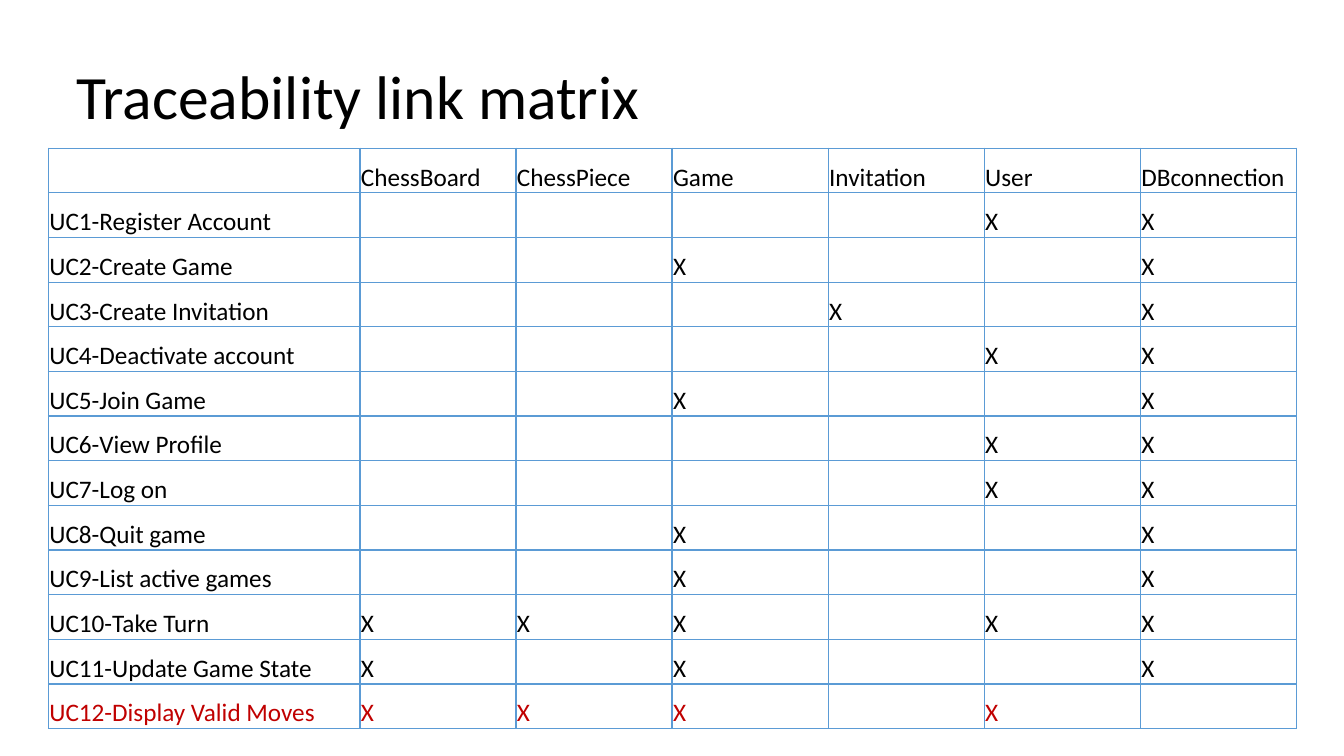
import pptx
import pptx.util
import pptx.dml.color
import pptx.enum.text
import pptx.oxml.ns
from lxml import etree
from pptx.util import Inches

FONT = "Calibri"
COLORS = {"text": "000000", "new": "C00000", "grid": "5B9BD5"}
CLASSES = ["ChessBoard", "ChessPiece", "Game", "Invitation", "User", "DBconnection"]
USE_CASES = [
    ("UC1-Register Account", "User DBconnection"),
    ("UC2-Create Game", "Game DBconnection"),
    ("UC3-Create Invitation", "Invitation DBconnection"),
    ("UC4-Deactivate account", "User DBconnection"),
    ("UC5-Join Game", "Game DBconnection"),
    ("UC6-View Profile", "User DBconnection"),
    ("UC7-Log on", "User DBconnection"),
    ("UC8-Quit game", "Game DBconnection"),
    ("UC9-List active games", "Game DBconnection"),
    ("UC10-Take Turn", "ChessBoard ChessPiece Game User DBconnection"),
    ("UC11-Update Game State", "ChessBoard Game DBconnection"),
    ("UC12-Display Valid Moves", "ChessBoard ChessPiece Game User"),
]


def add_run(p, text, size, color):
    r = p.add_run()
    r.text = text
    r.font.size = pptx.util.Pt(size)
    r.font.name = FONT
    r.font.color.rgb = pptx.dml.color.RGBColor.from_string(COLORS[color])


def add_title(s, text, left, top, width, height):
    tf = s.shapes.add_textbox(Inches(left), Inches(top), Inches(width), Inches(height)).text_frame
    tf.word_wrap = True
    tf.vertical_anchor = pptx.enum.text.MSO_ANCHOR.MIDDLE
    p = tf.paragraphs[0]
    p.line_spacing = 0.9
    add_run(p, text, 44, "text")


def set_borders(cell):
    tc_pr = cell._tc.get_or_add_tcPr()
    qn = pptx.oxml.ns.qn
    for side in ("lnL", "lnR", "lnT", "lnB"):
        ln = etree.SubElement(tc_pr, qn("a:" + side), w=str(pptx.util.Pt(1)))
        fill = etree.SubElement(ln, qn("a:solidFill"))
        etree.SubElement(fill, qn("a:srgbClr"), val=COLORS["grid"])


def fill_cell(cell, text, color):
    set_borders(cell)
    cell.fill.background()
    cell.margin_left = cell.margin_right = cell.margin_top = Inches(0.01)
    cell.margin_bottom = 0
    cell.vertical_anchor = pptx.enum.text.MSO_ANCHOR.BOTTOM
    if text:
        add_run(cell.text_frame.paragraphs[0], text, 18, color)


def add_matrix(s, left, top, width, height, label_width=3.09):
    """Mark with X each class that a use case touches."""
    rows = [[""] + CLASSES]
    for name, links in USE_CASES:
        touched = links.split()
        rows.append([name] + ["X" if c in touched else "" for c in CLASSES])

    table = s.shapes.add_table(len(rows), len(rows[0]), Inches(left), Inches(top),
                               Inches(width), Inches(height)).table
    table.first_row = table.horz_banding = False
    for i, column in enumerate(table.columns):
        column.width = Inches((width - label_width) / len(CLASSES) if i else label_width)
    for i, row in enumerate(rows):
        table.rows[i].height = Inches(height / len(rows))
        color = "new" if i == len(rows) - 1 else "text"
        for j, text in enumerate(row):
            fill_cell(table.cell(i, j), text, color)


def main():
    prs = pptx.Presentation()
    prs.slide_width, prs.slide_height = Inches(13.33), Inches(7.5)
    s = prs.slides.add_slide(prs.slide_layouts[6])
    add_title(s, "Traceability link matrix", 0.66, 0.26, 11.5, 1.45)
    add_matrix(s, 0.48, 1.47, 12.38, 5.76)
    prs.save("out.pptx")


if __name__ == "__main__":
    main()
